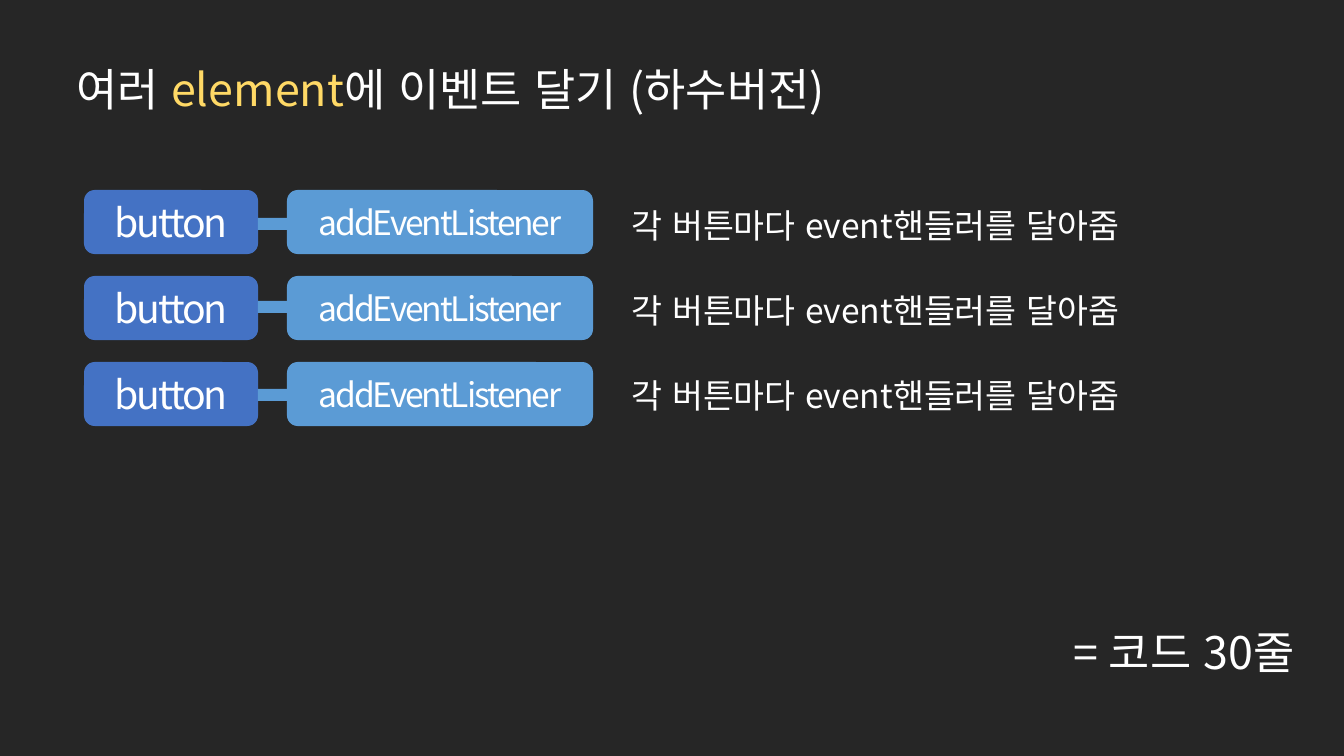
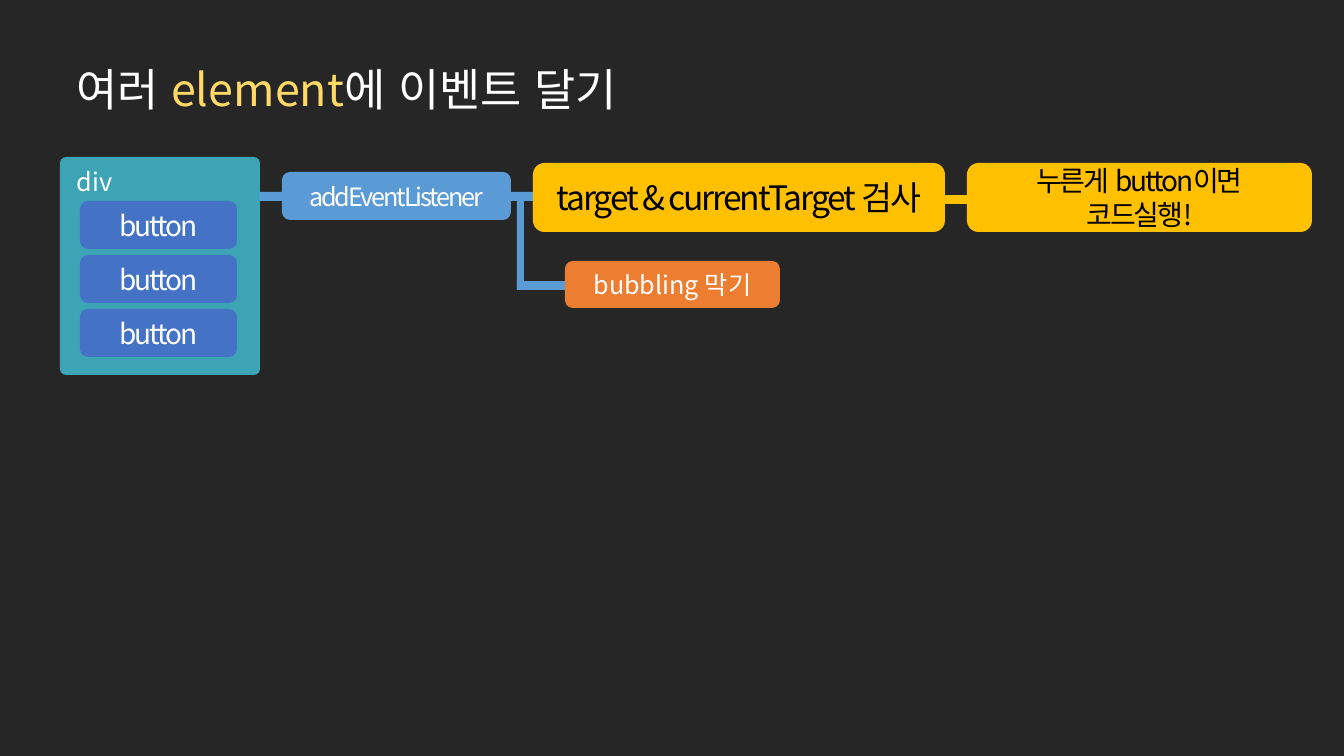
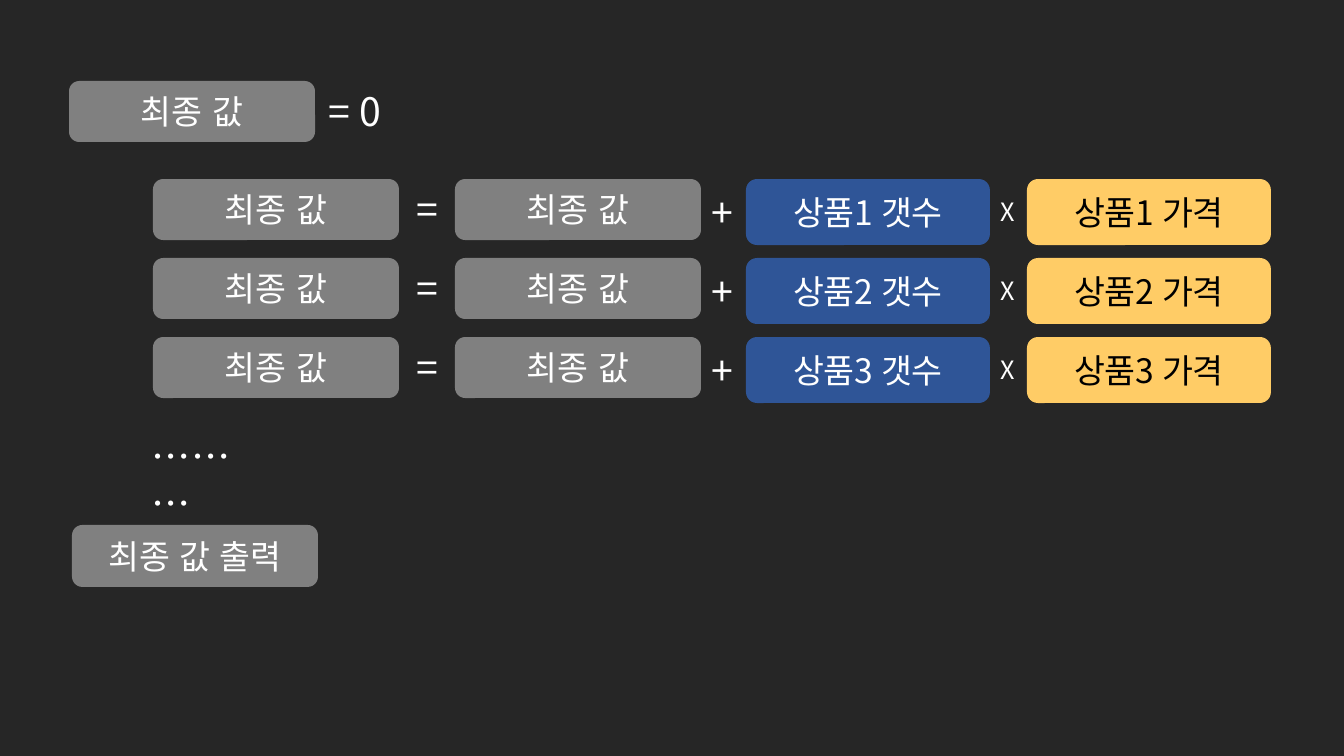
from lxml import etree
from pptx import Presentation
from pptx.dml.color import RGBColor
from pptx.enum.lang import MSO_LANGUAGE_ID
from pptx.enum.shapes import MSO_SHAPE
from pptx.enum.text import MSO_ANCHOR, MSO_AUTO_SIZE, PP_ALIGN
from pptx.oxml.ns import qn
from pptx.util import Emu, Pt

ROUND = MSO_SHAPE.ROUNDED_RECTANGLE
RECT = MSO_SHAPE.RECTANGLE
MIDDLE = MSO_ANCHOR.MIDDLE
LEFT, CENTER, RIGHT = PP_ALIGN.LEFT, PP_ALIGN.CENTER, PP_ALIGN.RIGHT
FIXED, GROW = MSO_AUTO_SIZE.NONE, MSO_AUTO_SIZE.SHAPE_TO_FIT_TEXT
KOREAN = MSO_LANGUAGE_ID.KOREAN

WIDE, HIGH = 1344, 756
SCALE = 12192000 / WIDE
FONT = "Noto Sans CJK KR"
TITLE_ONLY, BLANK = 5, 6
TIGHT = -150
COLORS = {
    "back": "262626",
    "white": "FFFFFF",
    "black": "000000",
    "accent": "FFD966",
    "button": "4472C4",
    "event": "5B9BD5",
    "panel": "3DA4B5",
    "check": "FFC000",
    "stop": "ED7D31",
    "value": "808080",
    "count": "2F5597",
    "price": "FFCC66",
}


def color(name):
    return RGBColor.from_string(COLORS[name])


def px(*sizes):
    return [Emu(round(size * SCALE)) for size in sizes]


def style(run, size, ink="white", track=0):
    run.font.size = Pt(size)
    run.font.name = FONT
    run.font.color.rgb = color(ink)
    run.font.language_id = KOREAN
    props = run.font._element
    etree.SubElement(props, qn("a:ea")).set("typeface", FONT)
    if track:
        props.set("spc", str(track))


def block(slide, area, fill, kind=RECT):
    shape = slide.shapes.add_shape(kind, *px(*area))
    shape.shadow.inherit = False
    shape.fill.solid()
    shape.fill.fore_color.rgb = color(fill)
    shape.line.fill.background()
    return shape


def box(slide, area, fill, text, size=24, ink="white", track=0, before=10):
    shape = block(slide, area, fill, ROUND)
    frame = shape.text_frame
    frame.word_wrap = True
    frame.vertical_anchor = MIDDLE
    para = frame.paragraphs[0]
    para.text = text
    para.alignment = CENTER
    para.space_before = Pt(before)
    for run in para.runs:
        style(run, size, ink, track)


def label(slide, area, text, size, align=LEFT, lead=None, wrap=True):
    frame = slide.shapes.add_textbox(*px(*area)).text_frame
    frame.text = text
    frame.word_wrap = wrap
    frame.auto_size = GROW
    para = frame.paragraphs[0]
    para.alignment = align
    para.line_spacing = lead
    style(para.runs[0], size)


def title(slide, tail):
    shape = slide.shapes.title
    shape.left, shape.top, shape.width, shape.height = px(66, 34, 1002, 115)
    frame = shape.text_frame
    frame.auto_size = FIXED
    frame.vertical_anchor = MIDDLE
    para = frame.paragraphs[0]
    para.alignment = LEFT
    para.line_spacing = 0.9
    for text, ink in (("여러 ", "white"), ("element", "accent"), (tail, "white")):
        run = para.add_run()
        run.text = text
        style(run, 32, ink)


def many(slide):
    title(slide, "에 이벤트 달기 (하수버전)")
    for row, wire in enumerate((218, 301, 389)):
        top = 190 + 86 * row
        box(slide, (84, top, 174, 64), "button", "button", 28, track=TIGHT)
        box(slide, (287, top, 306, 64), "event", "addEventListener", track=TIGHT)
        block(slide, (258, wire, 30, 12), "event")
        label(slide, (622, 196 + 85 * row, 634, 55),
              "각 버튼마다 event핸들러를 달아줌", 24, lead=1.1)
    label(slide, (539, 614, 766, 70), "= 코드 30줄", 32, RIGHT, 1.1)


def single(slide):
    title(slide, "에 이벤트 달기")
    panel = block(slide, (60, 157, 200, 218), "panel", ROUND)
    panel.adjustments[0] = 0.03
    label(slide, (67, 161, 60, 40), "div", 18)
    for row in range(3):
        box(slide, (80, 201 + 54 * row, 157, 48), "button", "button", 20, track=TIGHT)
    wires = (
        (259, 192, 32, 9, "event"),
        (511, 192, 22, 9, "event"),
        (517, 200, 7, 90, "event"),
        (517, 281, 48, 9, "event"),
        (945, 195, 22, 9, "check"),
    )
    for *area, fill in wires:
        block(slide, area, fill)
    box(slide, (282, 172, 229, 48), "event", "addEventListener", 18, track=TIGHT)
    box(slide, (533, 163, 412, 69), "check", "target & currentTarget 검사",
        ink="black", track=TIGHT)
    box(slide, (967, 163, 345, 69), "check", "누른게 button이면\v코드실행!",
        20, "black", TIGHT)
    box(slide, (565, 261, 215, 47), "stop", "bubbling 막기", 18, before=0)


def total(slide):
    box(slide, (69, 81, 246, 61), "value", "최종 값")
    label(slide, (319, 82, 79, 57), "= 0", 28, wrap=False)
    for row in range(3):
        top = 179 + 79 * row
        item = f"상품{row + 1}"
        for left in (153, 455):
            box(slide, (left, top, 246, 61), "value", "최종 값")
        box(slide, (746, top, 244, 66), "count", f"{item} 갯수")
        box(slide, (1027, top, 244, 66), "price", f"{item} 가격", ink="black")
        label(slide, (407, top + 1, 44, 57), "=", 28, wrap=False)
        label(slide, (702, top + 4, 44, 57), "+", 28, wrap=False)
        label(slide, (991, top + 12, 37, 40), "X", 18, wrap=False)
    label(slide, (142, 427, 127, 57), "………", 28)
    box(slide, (72, 525, 246, 62), "value", "최종 값 출력")


def main():
    deck = Presentation()
    deck.slide_width, deck.slide_height = px(WIDE, HIGH)
    back = deck.slide_master.background.fill
    back.solid()
    back.fore_color.rgb = color("back")
    for build, layout in ((many, TITLE_ONLY), (single, TITLE_ONLY), (total, BLANK)):
        build(deck.slides.add_slide(deck.slide_layouts[layout]))
    deck.save("out.pptx")


if __name__ == "__main__":
    main()
